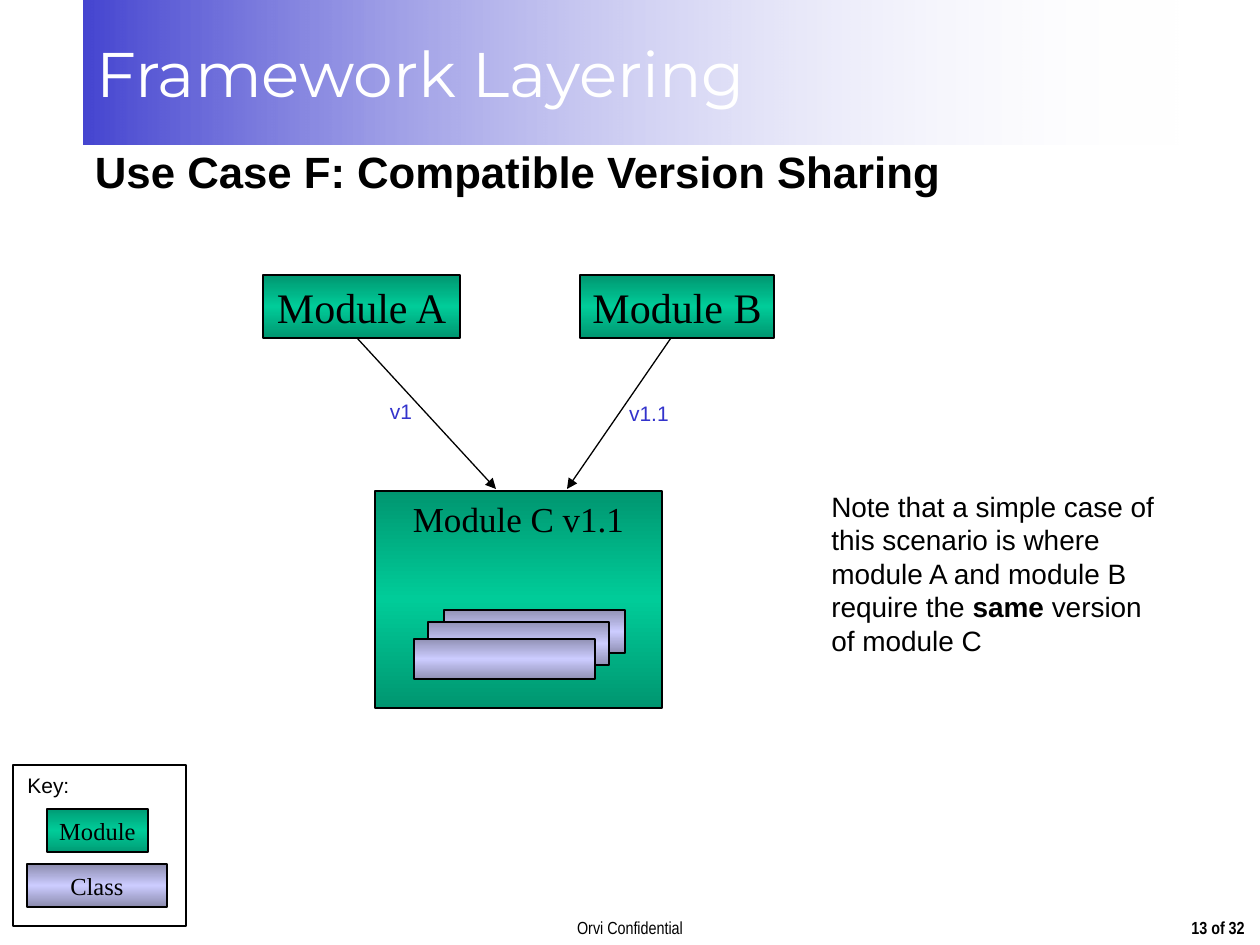
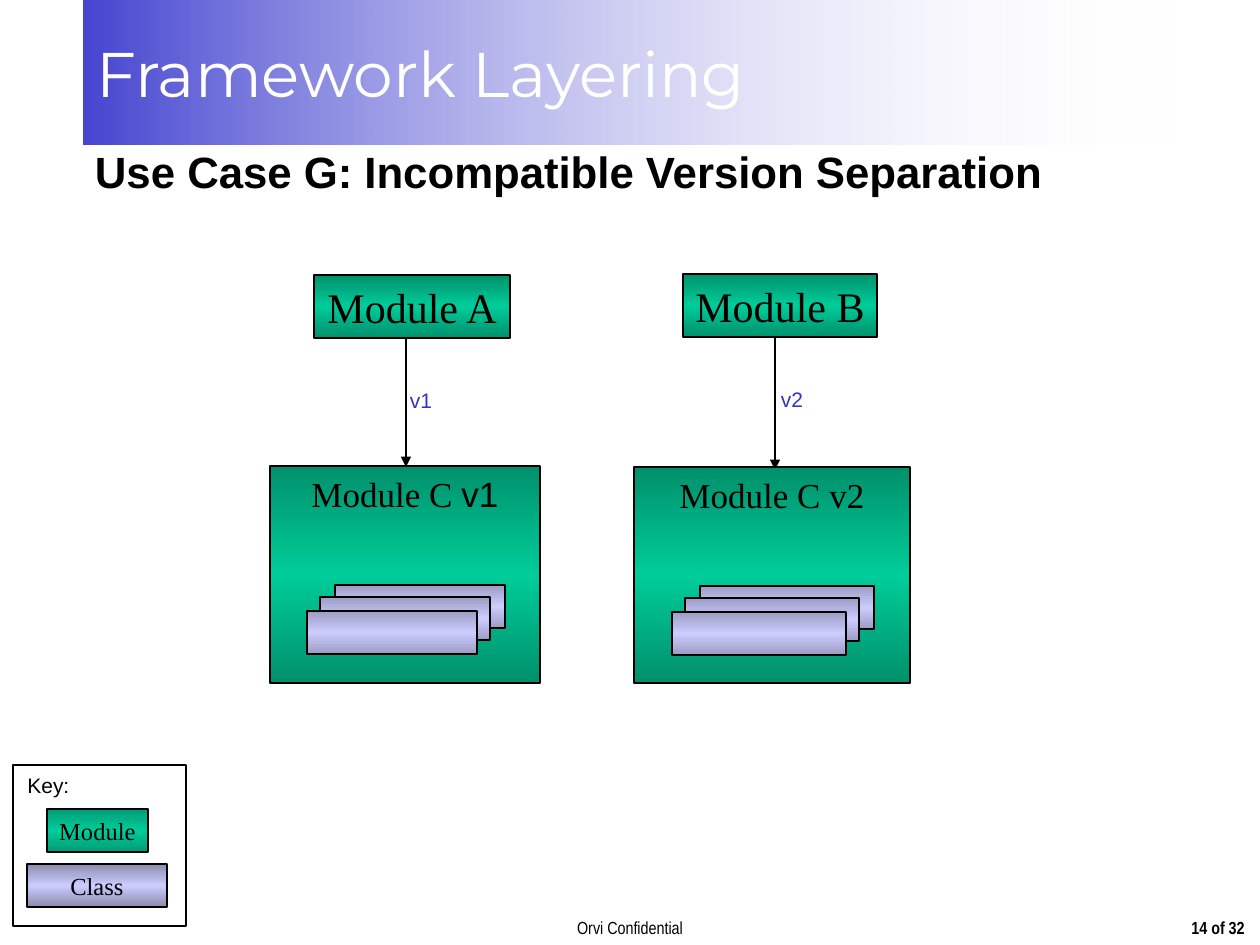
from collections import namedtuple
from dataclasses import dataclass

from lxml import etree
from pptx import Presentation
from pptx.dml.color import RGBColor
from pptx.enum.shapes import MSO_CONNECTOR, MSO_SHAPE
from pptx.enum.text import MSO_ANCHOR, PP_ALIGN
from pptx.oxml.ns import qn
from pptx.util import Inches, Pt

RECT = MSO_SHAPE.RECTANGLE
STRAIGHT = MSO_CONNECTOR.STRAIGHT
LEFT, CENTER = PP_ALIGN.LEFT, PP_ALIGN.CENTER
TOP, MIDDLE = MSO_ANCHOR.TOP, MSO_ANCHOR.MIDDLE

PX_PER_INCH = 126
BLANK = 6

Box = namedtuple("Box", "x y w h")
Style = namedtuple("Style", "font size color bold", defaults=("000000", False))
Tones = namedtuple("Tones", "module_edge class_edge")
Client = namedtuple("Client", "name box arrow version version_box")
Provider = namedtuple("Provider", "segments box front_class_h")


@dataclass(frozen=True)
class Theme:
    white: str = "FFFFFF"
    accent: str = "3333CC"
    line: str = "000000"
    module: str = "00CC99"
    class_: str = "CCCCFF"
    line_width: float = 0.75
    band: Style = Style("Montserrat", 36, "FFFFFF")
    title: Style = Style("Arial", 25, bold=True)
    footer: Style = Style("Arial Narrow", 10)
    page: Style = Style("Arial Narrow", 10, bold=True)
    client: Style = Style("Times New Roman", 24)
    provider: Style = Style("Times New Roman", 20)
    provider_alt: Style = Style("Arial", 20)
    version: Style = Style("Arial", 12, "3333CC")
    note: Style = Style("Arial", 16)
    note_strong: Style = Style("Arial", 16, bold=True)
    key_title: Style = Style("Arial", 12)
    key_item: Style = Style("Times New Roman", 14)


THEME = Theme()
KEY_TONES = Tones("009C75", "8B8BAE")


def px(n):
    return round(n * Inches(1) / PX_PER_INCH)


def emu(box):
    return [px(n) for n in box]


def inside(box, x, y, w, h):
    """Box whose position is given relative to an outer box."""
    return Box(box.x + x, box.y + y, w, h)


def write(sp, segments, align=LEFT, anchor=TOP, wrap=False, inset=True):
    """Fill a shape with one paragraph of (text, style) segments."""
    tf = sp.text_frame
    tf.word_wrap = wrap
    tf.vertical_anchor = anchor
    if not inset:
        tf.margin_left = tf.margin_top = tf.margin_right = tf.margin_bottom = 0
    p = tf.paragraphs[0]
    p.alignment = align
    for text, style in segments:
        r = p.add_run()
        r.text = text
        r.font.name = style.font
        r.font.size = Pt(style.size)
        r.font.bold = style.bold
        r.font.color.rgb = RGBColor.from_string(style.color)


def add_text(slide, box, segments, **layout):
    write(slide.shapes.add_textbox(*emu(box)), segments, **layout)


def set_gradient(sp, stops, angle):
    """Apply (position %, colour, alpha %) stops at an angle in degrees."""
    sp.fill.background()
    no_fill = sp._element.spPr.find(qn("a:noFill"))
    grad = etree.Element(qn("a:gradFill"), rotWithShape="1")
    stop_list = etree.SubElement(grad, qn("a:gsLst"))
    for pos, color, alpha in stops:
        gs = etree.SubElement(stop_list, qn("a:gs"), pos=str(pos * 1000))
        clr = etree.SubElement(gs, qn("a:srgbClr"), val=color)
        if alpha < 100:
            etree.SubElement(clr, qn("a:alpha"), val=str(alpha * 1000))
    etree.SubElement(grad, qn("a:lin"), ang=str(angle * 60000), scaled="0")
    no_fill.getparent().replace(no_fill, grad)


def set_line(sp):
    sp.line.color.rgb = RGBColor.from_string(THEME.line)
    sp.line.width = Pt(THEME.line_width)


def add_rect(slide, box):
    sp = slide.shapes.add_shape(RECT, *emu(box))
    sp.shadow.inherit = False
    return sp


def add_bar(slide, box, edge, middle):
    """Outlined rectangle, lighter along its horizontal middle."""
    sp = add_rect(slide, box)
    set_gradient(sp, [(0, edge, 100), (50, middle, 100), (100, edge, 100)], 90)
    set_line(sp)
    return sp


def add_arrow(slide, start, end):
    cx = slide.shapes.add_connector(STRAIGHT, *emu(start + end))
    set_line(cx)
    sp_pr = cx._element.spPr
    etree.SubElement(sp_pr.find(qn("a:ln")), qn("a:tailEnd"), type="triangle")
    etree.SubElement(sp_pr, qn("a:effectLst"))


def add_frame(slide, title, page):
    """Band, title and footers shared by every slide."""
    band = add_rect(slide, Box(84, 0, 1101, 145))
    set_gradient(band, [(0, THEME.white, 0), (100, THEME.accent, 91)], 180)
    band.line.fill.background()
    write(band, [("Framework Layering", THEME.band)], anchor=MIDDLE)
    add_text(slide, Box(0, 911, 1260, 34), [("Orvi Confidential", THEME.footer)],
             align=CENTER)
    add_text(slide, Box(1176, 911, 84, 34), [(f"{page} of 32", THEME.page)],
             align=CENTER)
    add_text(slide, Box(95, 145, 1165, 60), [(title, THEME.title)], inset=False)


def add_key(slide, box):
    module = add_bar(slide, inside(box, 34, 44, 101, 43),
                     KEY_TONES.module_edge, THEME.module)
    write(module, [("Module", THEME.key_item)], CENTER, MIDDLE)
    class_bar = add_bar(slide, inside(box, 14, 99, 140, 43),
                        KEY_TONES.class_edge, THEME.class_)
    write(class_bar, [("Class", THEME.key_item)], CENTER, MIDDLE)
    add_text(slide, inside(box, 2, 1, 122, 38), [("Key:", THEME.key_title)])
    outline = add_rect(slide, box)
    outline.fill.background()
    set_line(outline)


def add_provider(slide, provider, tones):
    """Module box with a stack of three classes, back to front."""
    box, front_h = provider.box, provider.front_class_h
    sp = add_bar(slide, box, tones.module_edge, THEME.module)
    write(sp, provider.segments, CENTER)
    stack = [(0.24, 119, 43), (0.185, 131, 43), (0.137, 188 - front_h, front_h)]
    for share, y, h in stack:
        class_box = inside(box, round(share * box.w), y, round(0.63 * box.w), h)
        add_bar(slide, class_box, tones.class_edge, THEME.class_)


def add_client(slide, client, tones):
    sp = add_bar(slide, client.box, tones.module_edge, THEME.module)
    write(sp, [(client.name, THEME.client)], CENTER, MIDDLE)
    add_text(slide, client.version_box, [(client.version, THEME.version)],
             align=CENTER)


def add_use_case(prs, title, page, tones, clients, providers):
    slide = prs.slides.add_slide(prs.slide_layouts[BLANK])
    add_frame(slide, title, page)
    for client in clients:
        add_arrow(slide, *client.arrow)
    for provider in providers:
        add_provider(slide, provider, tones)
    for client in clients:
        add_client(slide, client, tones)
    add_key(slide, Box(13, 765, 173, 161))
    return slide


def build_sharing(prs):
    clients = [
        Client("Module A", Box(263, 275, 197, 63), ((357, 338), (496, 489)),
               "v1", Box(377, 392, 48, 38)),
        Client("Module B", Box(580, 275, 194, 63), ((671, 338), (567, 489)),
               "v1.1", Box(611, 394, 76, 38)),
    ]
    providers = [Provider([("Module C v1.1", THEME.provider)],
                          Box(375, 491, 287, 217), 40)]
    slide = add_use_case(prs, "Use Case F: Compatible Version Sharing", 13,
                         Tones("009670", "9191B5"), clients, providers)
    note = [
        ("Note that a simple case of this scenario is where module A and "
         "module B require the ", THEME.note),
        ("same", THEME.note_strong),
        (" version of module C", THEME.note),
    ]
    add_text(slide, Box(819, 483, 350, 181), note, wrap=True)


def build_separation(prs):
    clients = [
        Client("Module A", Box(314, 275, 196, 63), ((406, 338), (406, 467)),
               "v1", Box(397, 381, 48, 38)),
        Client("Module B", Box(683, 274, 194, 63), ((775, 338), (775, 470)),
               "v2", Box(768, 380, 48, 38)),
    ]
    providers = [
        Provider([("Module C ", THEME.provider), ("v1", THEME.provider_alt)],
                 Box(270, 466, 270, 217), 43),
        Provider([("Module C v2", THEME.provider)],
                 Box(634, 467, 276, 216), 43),
    ]
    add_use_case(prs, "Use Case G: Incompatible Version Separation", 14,
                 Tones("00916C", "9C9CC4"), clients, providers)


def main():
    prs = Presentation()
    prs.slide_width, prs.slide_height = px(1260), px(945)
    build_sharing(prs)
    build_separation(prs)
    prs.save("out.pptx")


if __name__ == "__main__":
    main()
